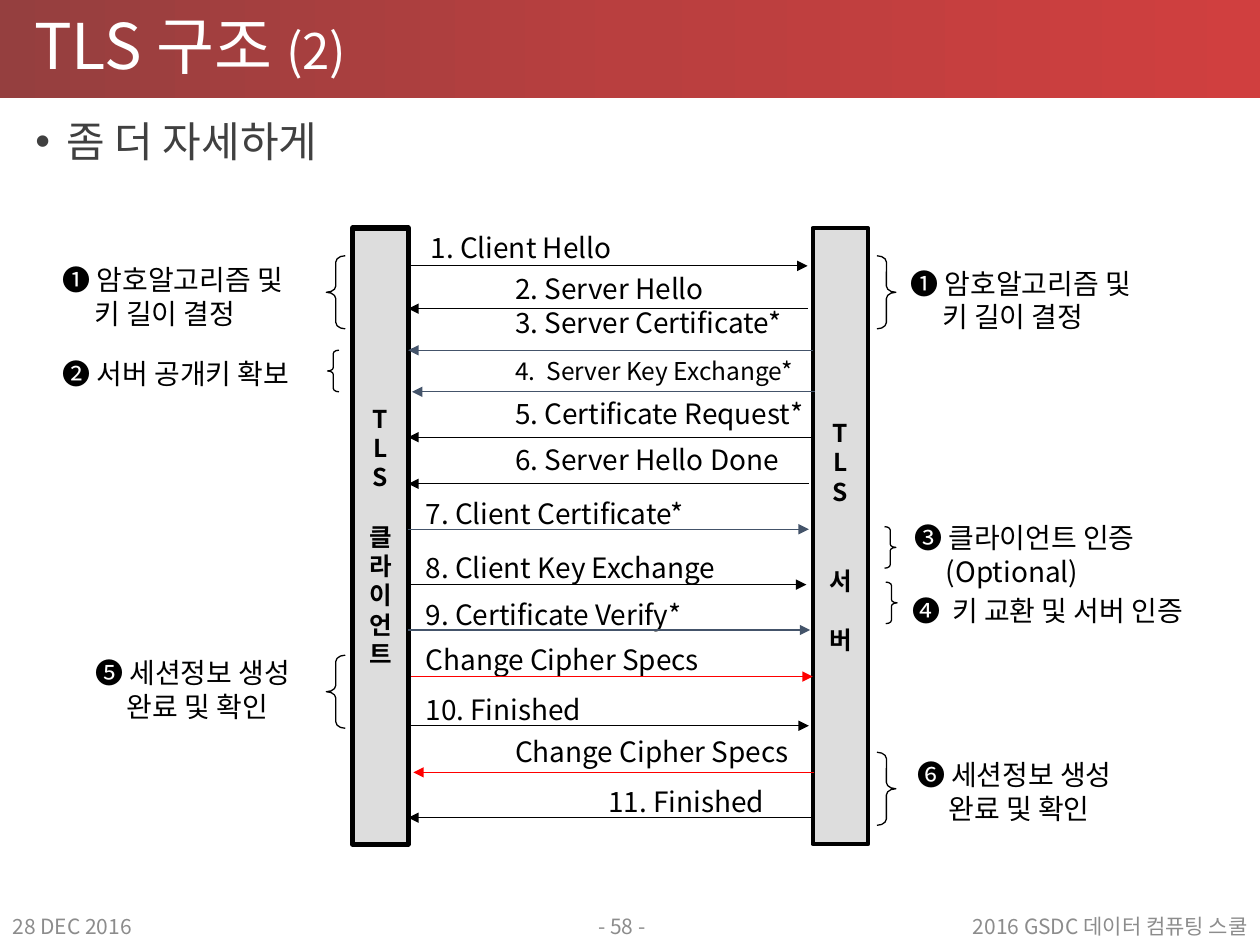
from copy import deepcopy

from lxml.etree import SubElement
from pptx import Presentation
from pptx.dml.color import RGBColor
from pptx.enum.shapes import MSO_CONNECTOR, MSO_SHAPE
from pptx.enum.text import MSO_ANCHOR, MSO_AUTO_SIZE, PP_ALIGN
from pptx.oxml.ns import qn
from pptx.util import Emu, Pt

SCALE = 9144
FONT = "Noto Sans CJK KR"
BLACK, SLATE, RED, GREY = "000000", "44546A", "FF0000", "8C8C8C"
CLIENT_EDGE, SERVER_EDGE = 324, 645
LETTER_GAP = 17

MESSAGES = [
    ("1. Client Hello", 332, 178, 16),
    ("2. Server Hello", 399, 211, 16),
    ("3. Server Certificate*", 399, 238, 16),
    ("4.  Server Key Exchange*", 399, 278, 14),
    ("5. Certificate Request*", 399, 310, 16),
    ("6. Server Hello Done", 399, 346, 16),
    ("7. Client Certificate*", 328, 389, 16),
    ("8. Client Key Exchange", 328, 432, 16),
    ("9. Certificate Verify*", 328, 469, 16),
    ("Change Cipher Specs", 328, 505, 16),
    ("10. Finished", 328, 545, 16),
    ("Change Cipher Specs", 399, 578, 16),
    ("11. Finished", 473, 618, 16),
]
ARROWS = [
    (CLIENT_EDGE, 641, 211, BLACK),
    (641, CLIENT_EDGE, 245, BLACK),
    (SERVER_EDGE, CLIENT_EDGE, 278, SLATE),
    (647, 327, 311, SLATE),
    (SERVER_EDGE, CLIENT_EDGE, 347, BLACK),
    (642, CLIENT_EDGE, 384, BLACK),
    (CLIENT_EDGE, 642, 420, SLATE),
    (CLIENT_EDGE, 640, 464, BLACK),
    (CLIENT_EDGE, 643, 500, SLATE),
    (326, SERVER_EDGE, 537, RED),
    (CLIENT_EDGE, 642, 576, BLACK),
    (646, 328, 613, RED),
    (SERVER_EDGE, CLIENT_EDGE, 649, BLACK),
]
STEPS = [
    ("❶ 암호알고리즘 및\n키 길이 결정", 40, 203),
    ("❷ 서버 공개키 확보", 40, 278),
    ("❺ 세션정보 생성\n완료 및 확인", 66, 515),
    ("❶ 암호알고리즘 및\n키 길이 결정", 713, 206),
    ("❸ 클라이언트 인증\n(Optional)", 716, 408),
    ("❹  키 교환 및 서버 인증", 714, 466),
    ("❻ 세션정보 생성\n완료 및 확인", 718, 596),
]
LARGE_BRACE = (15, 58, 0.333)
SMALL_BRACE = (9, 33, 0.295)
BRACES = [
    (MSO_SHAPE.LEFT_BRACE, 259, 203, LARGE_BRACE),
    (MSO_SHAPE.LEFT_BRACE, 260, 278, SMALL_BRACE),
    (MSO_SHAPE.LEFT_BRACE, 259, 520, LARGE_BRACE),
    (MSO_SHAPE.RIGHT_BRACE, 696, 203, LARGE_BRACE),
    (MSO_SHAPE.RIGHT_BRACE, 702, 418, SMALL_BRACE),
    (MSO_SHAPE.RIGHT_BRACE, 703, 462, SMALL_BRACE),
    (MSO_SHAPE.RIGHT_BRACE, 696, 597, LARGE_BRACE),
]


def px(value):
    """Turn px into EMU."""
    return Emu(value * SCALE)


def colour(value):
    """Turn a hex string into a colour."""
    return RGBColor.from_string(value)


def format_span(span, size, hex_colour, bold=False):
    """Give a run its font, size and colour."""
    span.font.size = Pt(size)
    span.font.bold = bold
    span.font.color.rgb = colour(hex_colour)
    span.font.name = FONT
    SubElement(span._r.get_or_add_rPr(), qn("a:ea"), typeface=FONT)


def format_frame(frame, size, hex_colour, align=PP_ALIGN.LEFT, bold=False):
    """Wrap a frame and format all its text."""
    frame.word_wrap = True
    frame.auto_size = MSO_AUTO_SIZE.NONE
    for para in frame.paragraphs:
        para.alignment = align
        for span in para.runs:
            format_span(span, size, hex_colour, bold)


def place(shape, left, top, width, height):
    """Move and size a shape."""
    shape.left, shape.top = px(left), px(top)
    shape.width, shape.height = px(width), px(height)


def add_text(page, text, left, top, width, height, size=16,
             hex_colour=BLACK, align=PP_ALIGN.LEFT):
    """Add a formatted text box and return its frame."""
    box = page.shapes.add_textbox(px(left), px(top), px(width), px(height))
    frame = box.text_frame
    frame.text = text
    format_frame(frame, size, hex_colour, align)
    return frame


def add_shape(page, kind, left, top, width, height):
    """Add a preset shape without a shadow."""
    shape = page.shapes.add_shape(kind, px(left), px(top), px(width), px(height))
    shape.shadow.inherit = False
    return shape


def add_band(page):
    """Add the red gradient band behind the title."""
    band = add_shape(page, MSO_SHAPE.RECTANGLE, 0, 0, 1000, 78)
    band.line.fill.background()
    band.fill.gradient()
    band.fill.gradient_angle = 0
    first = band._element.spPr.find(".//" + qn("a:gs"))
    first.addnext(deepcopy(first))
    stops = [(0, "953F3F"), (0.5, "B93F3F"), (1, "D03F3F")]
    for stop, (position, hex_colour) in zip(band.fill.gradient_stops, stops):
        stop.position = position
        stop.color.rgb = colour(hex_colour)


def fill_title(page):
    """Place and write the title."""
    title = page.shapes.title
    place(title, 17, 0, 847, 78)
    frame = title.text_frame
    frame.text = "TLS 구조 "
    frame.vertical_anchor = MSO_ANCHOR.MIDDLE
    format_frame(frame, 36, "FFFFFF")
    para = frame.paragraphs[0]
    para.line_spacing = 0.9
    span = para.add_run()
    span.text = "(2)"
    format_span(span, 28, "FFFFFF")


def fill_body(page):
    """Place and write the bullet list."""
    body = page.placeholders[1]
    place(body, 18, 91, 965, 594)
    frame = body.text_frame
    frame.text = "좀 더 자세하게"
    para = frame.paragraphs[0]
    properties = para._p.get_or_add_pPr()
    properties.set("marL", str(px(25)))
    properties.set("indent", str(px(-25)))
    SubElement(properties, qn("a:buChar"), char="•")
    para.line_spacing = 0.9
    para.space_before = Pt(0)
    format_frame(frame, 24, "404040")


def add_tower(page, name, left, line_width):
    """Add a party's bar with its name set downwards."""
    tower = add_shape(page, MSO_SHAPE.RECTANGLE, left, 181, 44, 489)
    tower.fill.solid()
    tower.fill.fore_color.rgb = colour("DDDDDD")
    tower.line.color.rgb = colour(BLACK)
    tower.line.width = Pt(line_width)
    frame = tower.text_frame
    frame.vertical_anchor = MSO_ANCHOR.MIDDLE
    frame.margin_left = frame.margin_right = 0
    frame.text = "\n".join(name.replace(" ", ""))
    format_frame(frame, 14, BLACK, PP_ALIGN.CENTER, True)
    paras = iter(frame.paragraphs)
    spaces = 0
    for letter in name:
        if letter == " ":
            spaces += 1
        else:
            next(paras).space_before = Pt(LETTER_GAP * spaces)
            spaces = 0


def add_arrow(page, start, end, level, hex_colour):
    """Add a horizontal message arrow."""
    arrow = page.shapes.add_connector(
        MSO_CONNECTOR.STRAIGHT, px(start), px(level), px(end), px(level))
    arrow.line.color.rgb = colour(hex_colour)
    arrow.line.width = Pt(1 if hex_colour == RED else 0.75)
    SubElement(arrow.line._get_or_add_ln(), qn("a:tailEnd"), type="triangle")
    SubElement(arrow._element.spPr, qn("a:effectLst"))


def add_step(page, text, left, top):
    """Add a numbered step with its second line indented."""
    lines = text.split("\n")
    frame = add_text(page, text, left, top, 260, 37 if len(lines) == 1 else 64)
    frame.vertical_anchor = MSO_ANCHOR.MIDDLE
    for para in frame.paragraphs[1:]:
        para._p.get_or_add_pPr().set("marL", str(px(25)))


def add_brace(page, kind, left, top, form):
    """Add a brace beside a step."""
    width, height, curl = form
    brace = add_shape(page, kind, left, top, width, height)
    brace.adjustments[0] = curl
    brace.fill.background()
    brace.line.color.rgb = colour(BLACK)
    brace.line.width = Pt(0.75)


def main():
    """Build the slide."""
    deck = Presentation()
    deck.slide_width, deck.slide_height = px(1000), px(750)
    page = deck.slides.add_slide(deck.slide_layouts[1])
    add_band(page)
    page.shapes._spTree.append(page.shapes.title._element)
    fill_title(page)
    fill_body(page)
    for text, left, width, align in [
        ("28 DEC 2016", 0, 242, PP_ALIGN.LEFT),
        ("- 58 -", 381, 225, PP_ALIGN.CENTER),
        ("2016 GSDC 데이터 컴퓨팅 스쿨", 662, 338, PP_ALIGN.RIGHT),
    ]:
        frame = add_text(page, text, left, 721, width, 28, 12, GREY, align)
        frame.vertical_anchor = MSO_ANCHOR.MIDDLE
    add_tower(page, "TLS 클라이언트", 280, 3)
    add_tower(page, "TLS  서 버", 645, 2.25)
    for text, left, top, size in MESSAGES:
        add_text(page, text, left, top, 270, 37, size)
    for arrow in ARROWS:
        add_arrow(page, *arrow)
    for step in STEPS:
        add_step(page, *step)
    for brace in BRACES:
        add_brace(page, *brace)
    deck.save("out.pptx")


if __name__ == "__main__":
    main()
